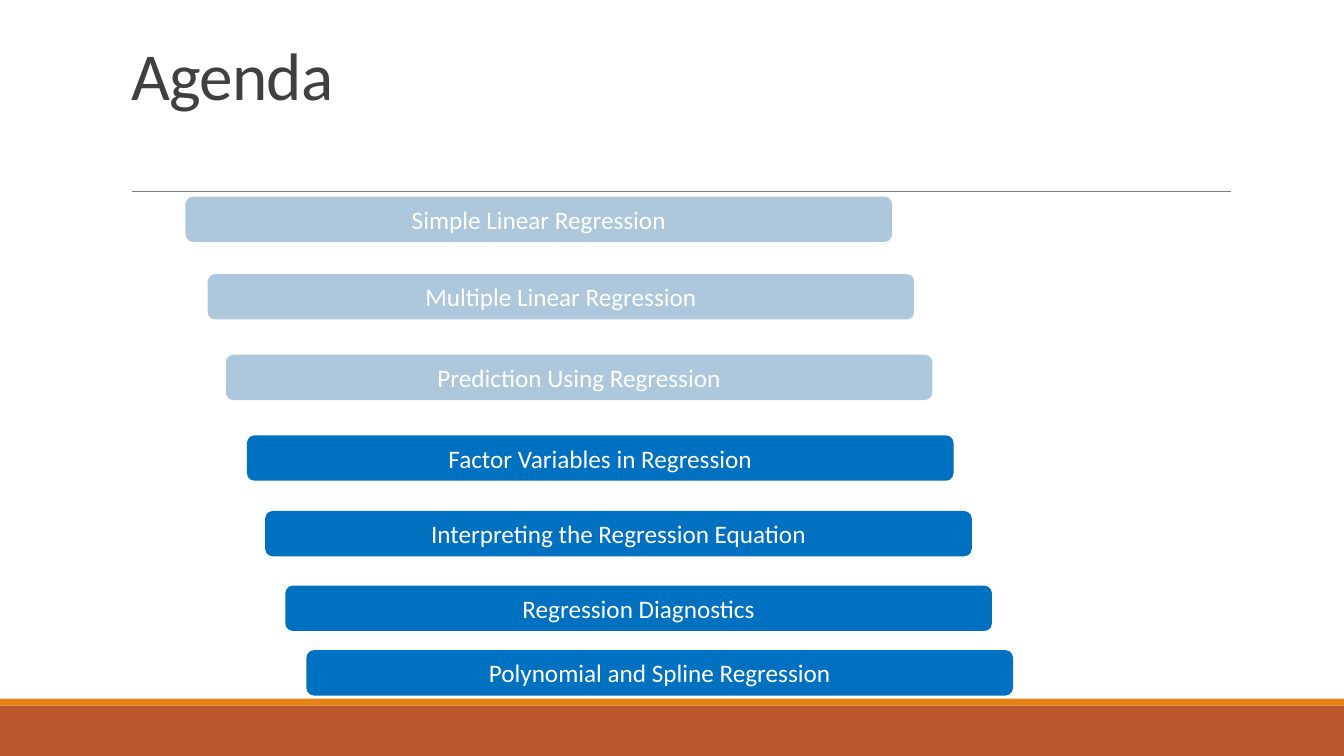
from pptx import Presentation
from pptx.dml.color import RGBColor
from pptx.enum.shapes import MSO_CONNECTOR as Connector, MSO_SHAPE as Shape
from pptx.enum.text import MSO_ANCHOR as Anchor, MSO_AUTO_SIZE as AutoSize, PP_ALIGN as Align
from pptx.oxml.ns import qn
from pptx.util import Pt
from lxml import etree

SLIDE_WIDTH, SLIDE_HEIGHT = 960, 540
BAR_WIDTH, BAR_HEIGHT = 504.7, 32.4
DONE, UPCOMING = "ADC8DD", "0070C0"

# Topic, left, top, fill
AGENDA = [
    ("Simple Linear Regression", 132.5, 140.4, DONE),
    ("Multiple Linear Regression", 148.3, 195.8, DONE),
    ("Prediction Using Regression", 161.3, 253.4, DONE),
    ("Factor Variables in Regression", 176.4, 311, UPCOMING),
    ("Interpreting the Regression Equation", 189.4, 365, UPCOMING),
    ("Regression Diagnostics", 203.8, 418.3, UPCOMING),
    ("Polynomial and Spline Regression", 218.9, 464.4, UPCOMING),
]


def color(value):
    return RGBColor.from_string(value)


def write_text(shape, text, *, size, fill, align, anchor, line_spacing=1.0, tracking=0):
    frame = shape.text_frame
    frame.word_wrap = True
    frame.auto_size = AutoSize.NONE
    frame.vertical_anchor = anchor
    paragraph = frame.paragraphs[0]
    paragraph.alignment = align
    paragraph.line_spacing = line_spacing
    run = paragraph.add_run()
    run.text = text
    run.font.name = "Calibri"
    run.font.size = Pt(size)
    run.font.color.rgb = color(fill)
    if tracking:
        run.font._element.set("spc", str(round(tracking * 100)))


def add_block(slide, kind, left, top, width, height, fill):
    shape = slide.shapes.add_shape(kind, Pt(left), Pt(top), Pt(width), Pt(height))
    shape.shadow.inherit = False
    shape.fill.solid()
    shape.fill.fore_color.rgb = color(fill)
    shape.line.fill.background()
    return shape


def add_rule(slide, left, right, top):
    rule = slide.shapes.add_connector(
        Connector.STRAIGHT, Pt(left), Pt(top), Pt(right), Pt(top))
    rule.line.color.rgb = color("808080")
    rule.line.width = Pt(0.5)
    etree.SubElement(rule._element.spPr, qn("a:effectLst"))


def add_title(slide, text):
    title = slide.shapes.title
    title.left, title.top, title.width, title.height = Pt(86.4), Pt(22.3), Pt(792), Pt(62.6)
    write_text(title, text, size=48, fill="404040", align=Align.LEFT,
               anchor=Anchor.BOTTOM, line_spacing=0.85, tracking=-0.5)


def add_agenda_bar(slide, topic, left, top, fill):
    bar = add_block(slide, Shape.ROUNDED_RECTANGLE, left, top, BAR_WIDTH, BAR_HEIGHT, fill)
    write_text(bar, topic, size=18, fill="FFFFFF", align=Align.CENTER, anchor=Anchor.MIDDLE)


def main():
    presentation = Presentation()
    presentation.slide_width, presentation.slide_height = Pt(SLIDE_WIDTH), Pt(SLIDE_HEIGHT)
    slide = presentation.slides.add_slide(presentation.slide_layouts.get_by_name("Title Only"))

    # Footer bands and title rule
    add_block(slide, Shape.RECTANGLE, 0, 504, SLIDE_WIDTH, 36, "BD582C")
    add_block(slide, Shape.RECTANGLE, 0, 499, SLIDE_WIDTH, 5, "E48312")
    add_rule(slide, 94.3, 879.1, 136.8)

    # Title and agenda
    add_title(slide, "Agenda")
    for topic, left, top, fill in AGENDA:
        add_agenda_bar(slide, topic, left, top, fill)

    presentation.save("out.pptx")


if __name__ == "__main__":
    main()
